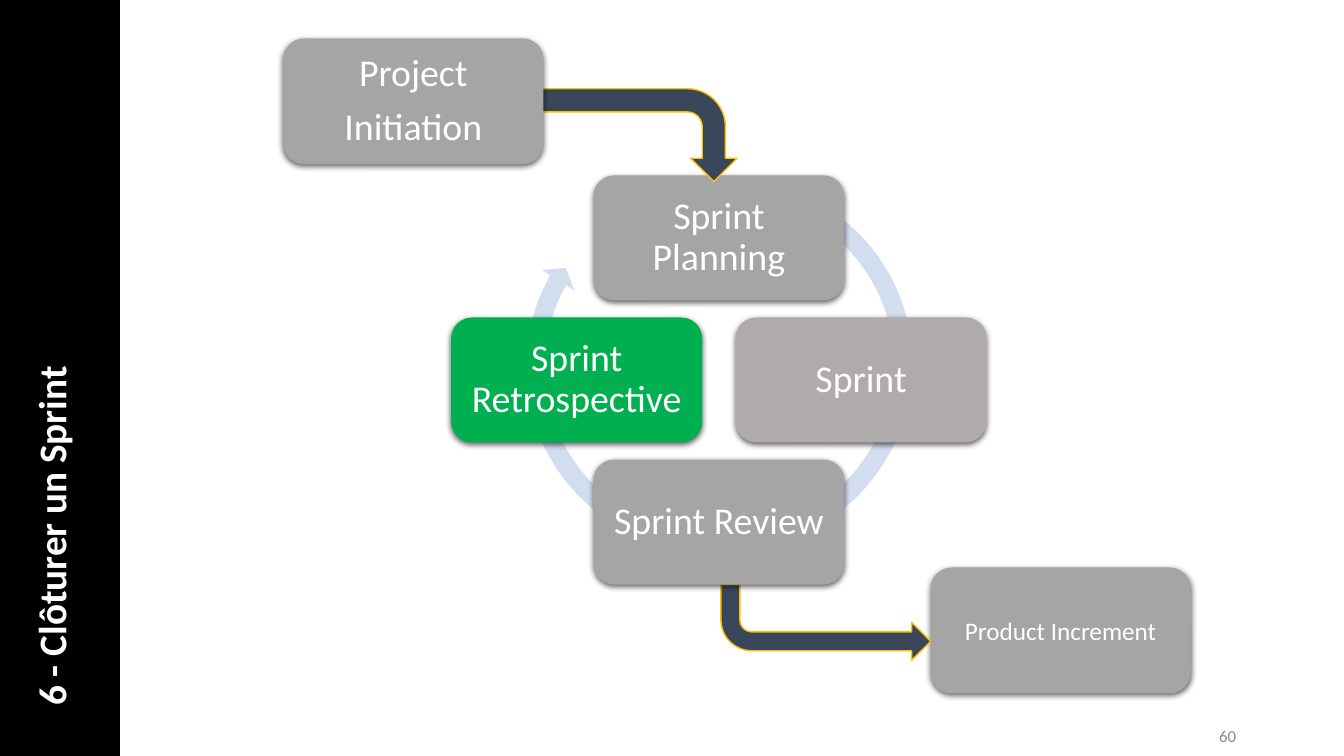
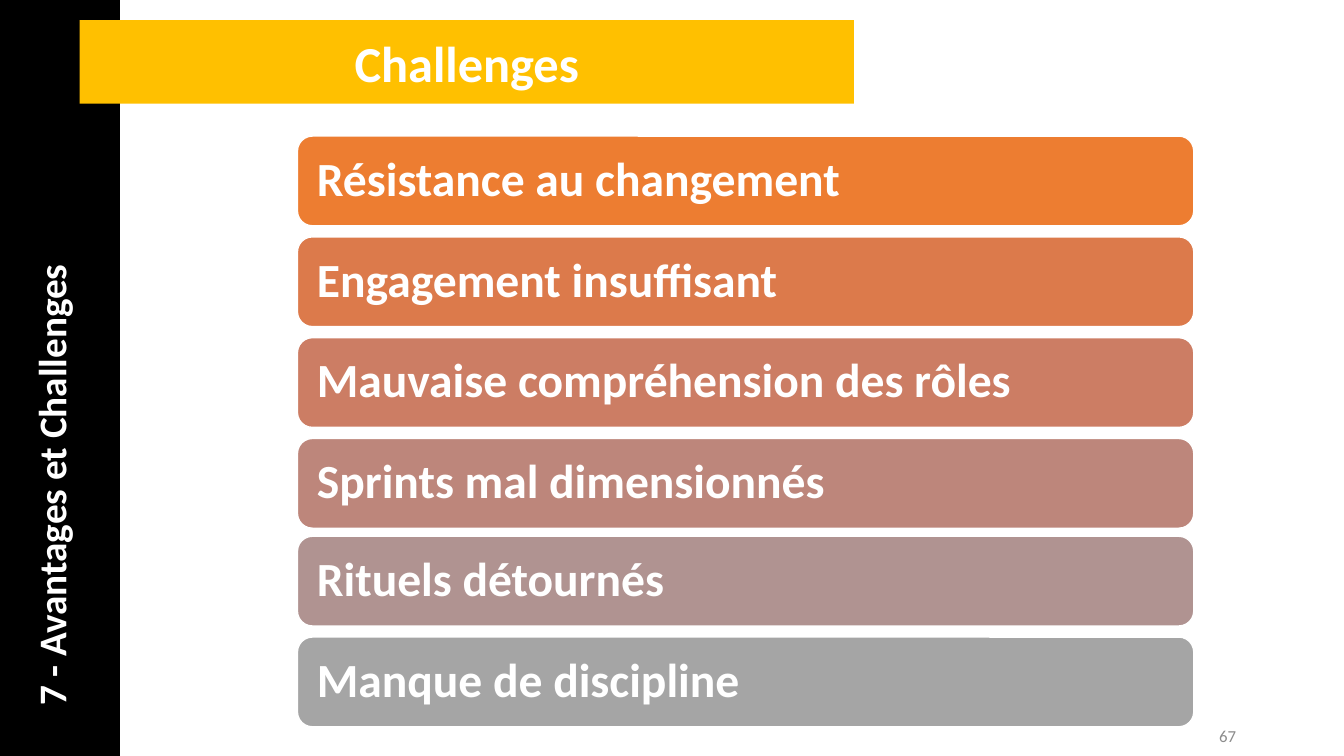
import math
from dataclasses import dataclass

import pptx
import pptx.util
import pptx.oxml
from pptx.dml.color import RGBColor
from pptx.enum.shapes import MSO_SHAPE
from pptx.enum.text import MSO_ANCHOR, PP_ALIGN
from pptx.util import Inches, Pt


@dataclass(frozen=True)
class Theme:
    font: str = "Calibri"
    white: str = "FFFFFF"
    rail: str = "000000"
    band: str = "FFC000"
    page_number: str = "8C8C8C"
    step: str = "A5A5A5"
    step_warm: str = "AFABAB"
    step_current: str = "00B050"
    arrow: str = "3A475A"
    ring: str = "D2DEEF"
    number_size: int = 12
    output_size: int = 18
    step_size: int = 27
    rail_size: int = 28
    row_size: int = 34
    band_size: int = 36


THEME = Theme()

SPRINT = {
    "rail": "6 - Clôturer un Sprint",
    "number": "60",
    "start": ["Project", "Initiation"],
    # Clockwise from the top
    "cycle": [
        ("Sprint Planning", THEME.step),
        ("Sprint", THEME.step_warm),
        ("Sprint Review", THEME.step),
        ("Sprint Retrospective", THEME.step_current),
    ],
    "output": ["Product Increment"],
}

CHALLENGES = {
    "rail": "7 - Avantages et Challenges",
    "number": "67",
    "title": "Challenges",
    # Top of each block of rows, then its rows
    "blocks": [
        (1.35, [
            ("Résistance au changement", "ED7D31"),
            ("Engagement insuffisant", "DC7A4B"),
            ("Mauvaise compréhension des rôles", "CC7D64"),
            ("Sprints mal dimensionnés", "BD867B"),
        ]),
        (5.32, [
            ("Rituels détournés", "B09391"),
            ("Manque de discipline", "A5A5A5"),
        ]),
    ],
}

SHADOW = (
    '<a:effectLst xmlns:a="http://schemas.openxmlformats.org/drawingml/2006/main">'
    '<a:outerShdw blurRad="57150" dist="19050" dir="5400000" algn="ctr" rotWithShape="0">'
    '<a:srgbClr val="000000"><a:alpha val="63000"/></a:srgbClr>'
    '</a:outerShdw></a:effectLst>'
)


def add_box(page, preset, area, fill, line=None, adjustments=()):
    box = page.shapes.add_shape(preset, *map(Inches, area))
    box.shadow.inherit = False
    box.fill.solid()
    box.fill.fore_color.rgb = RGBColor.from_string(fill)
    if line:
        box.line.color.rgb = RGBColor.from_string(line)
        box.line.width = Pt(1)
    else:
        box.line.fill.background()
    for index, value in enumerate(adjustments):
        box.adjustments[index] = value
    return box


def write(box, lines, size, color=THEME.white, bold=False, align=PP_ALIGN.CENTER,
          anchor=MSO_ANCHOR.MIDDLE, inset=0.1, spacing=1.0, after=0):
    frame = box.text_frame
    frame.word_wrap = True
    frame.vertical_anchor = anchor
    frame.margin_left = frame.margin_right = Inches(inset)
    for index, line in enumerate(lines):
        para = frame.paragraphs[0] if index == 0 else frame.add_paragraph()
        para.alignment = align
        para.line_spacing = spacing
        para.space_after = Pt(after)
        span = para.add_run()
        span.text = line
        span.font.name = THEME.font
        span.font.size = Pt(size)
        span.font.bold = bold
        span.font.color.rgb = RGBColor.from_string(color)


def add_page(deck, content):
    """Add a slide with the side rail, its section title and the page number."""
    page = deck.slides.add_slide(deck.slide_layouts[6])
    add_box(page, MSO_SHAPE.RECTANGLE, (0, 0, 1.19, 7.5), THEME.rail)
    number = page.shapes.add_textbox(*map(Inches, (9.36, 7.1, 3, 0.4)))
    write(number, [content["number"]], THEME.number_size, THEME.page_number,
          align=PP_ALIGN.RIGHT)
    section = page.shapes.add_textbox(*map(Inches, (-3.43, 2.88, 7.87, 0.57)))
    section.rotation = 270
    write(section, [content["rail"]], THEME.rail_size, bold=True,
          align=PP_ALIGN.LEFT, anchor=MSO_ANCHOR.TOP)
    return page


def add_step(page, area, lines, fill, size=THEME.step_size, spacing=0.9):
    box = add_box(page, MSO_SHAPE.ROUNDED_RECTANGLE, area, fill)
    properties = box._element.spPr
    properties.remove(properties.find(pptx.oxml.ns.qn("a:effectLst")))
    properties.append(pptx.oxml.parse_xml(SHADOW))
    write(box, lines, size, inset=0.08, spacing=spacing, after=9.5)


def add_bent_arrow(page, area, rotation, flipped=False):
    arrow = add_box(page, MSO_SHAPE.BENT_ARROW, area, THEME.arrow, THEME.band,
                    (0.25, 0.25, 0.25, 0.41))
    arrow.rotation = rotation
    if flipped:
        arrow._element.spPr.xfrm.set("flipH", "1")


def build_sprint(deck):
    page = add_page(deck, SPRINT)
    add_step(page, (9.23, 5.63, 2.58, 1.25), SPRINT["output"], THEME.step,
             THEME.output_size, spacing=1.0)
    add_bent_arrow(page, (7.15, 5.8, 2.08, 0.75), 180, flipped=True)

    ring = add_box(page, MSO_SHAPE.CIRCULAR_ARROW, (5.12, 1.66, 4.03, 3.93), THEME.ring,
                   adjustments=(0.047, 2.729, 130.228, 179.017, 0.048))
    ring.rotation = 350.8
    center_x, center_y, radius = 7.13, 3.77, 1.41
    width, height = 2.49, 1.24
    for index, (label, fill) in enumerate(SPRINT["cycle"]):
        angle = math.tau * index / len(SPRINT["cycle"])
        left = center_x + radius * math.sin(angle) - width / 2
        top = center_y - radius * math.cos(angle) - height / 2
        add_step(page, (left, top, width, height), [label], fill)

    add_bent_arrow(page, (5.85, 0.34, 0.92, 2), 90)
    add_step(page, (2.81, 0.38, 2.58, 1.25), SPRINT["start"], THEME.step)


def build_challenges(deck):
    page = add_page(deck, CHALLENGES)
    band = add_box(page, MSO_SHAPE.RECTANGLE, (0.79, 0.2, 7.68, 0.83), THEME.band)
    write(band, [CHALLENGES["title"]], THEME.band_size, bold=True)
    pitch = 1
    for block_top, rows in CHALLENGES["blocks"]:
        for index, (label, fill) in enumerate(rows):
            area = (2.95, block_top + index * pitch, 8.89, 0.89)
            row = add_box(page, MSO_SHAPE.ROUNDED_RECTANGLE, area, fill, THEME.white)
            write(row, [label], THEME.row_size, bold=True, align=PP_ALIGN.LEFT,
                  inset=0.15, spacing=0.9)


def main():
    deck = pptx.Presentation()
    deck.slide_width, deck.slide_height = Inches(13.33), Inches(7.5)
    build_sprint(deck)
    build_challenges(deck)
    deck.save("out.pptx")


if __name__ == "__main__":
    main()
